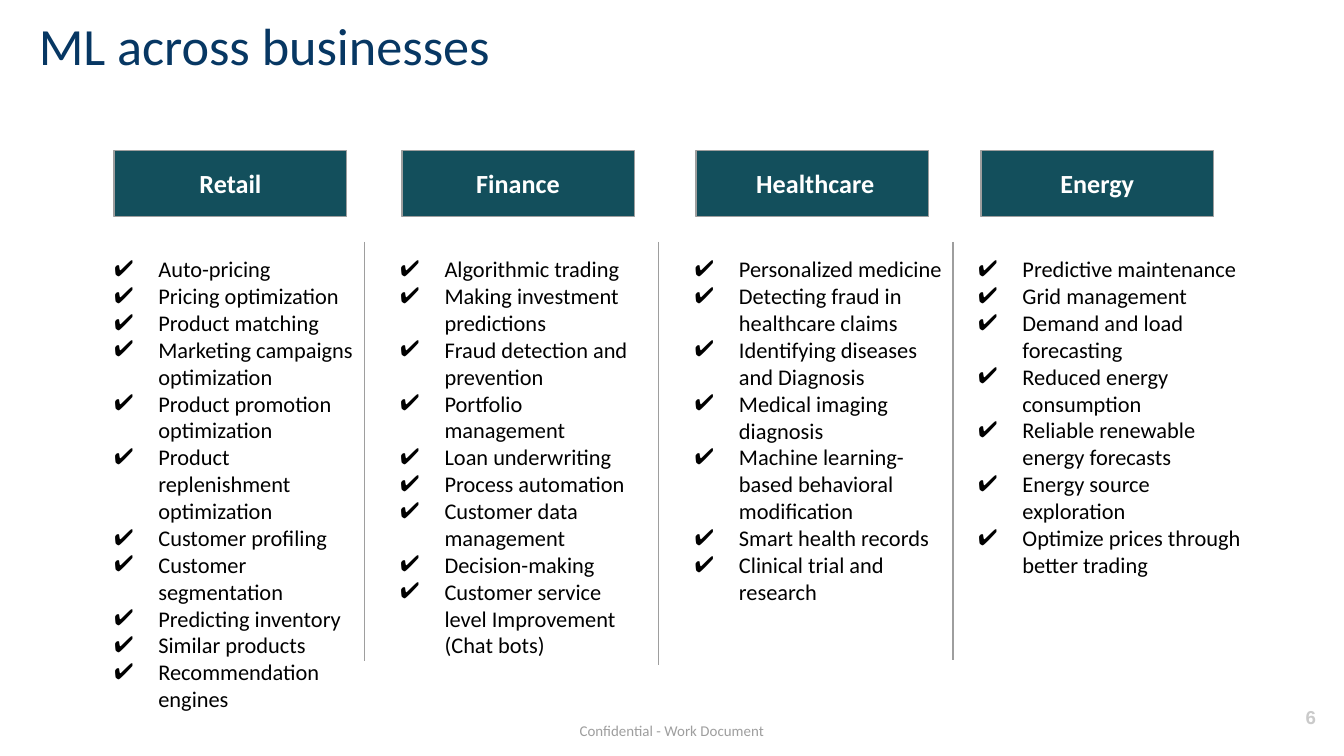
from dataclasses import dataclass

from lxml.etree import SubElement
from pptx import Presentation
from pptx.dml.color import RGBColor
from pptx.enum.shapes import MSO_CONNECTOR, MSO_SHAPE
from pptx.enum.text import MSO_ANCHOR, PP_ALIGN
from pptx.oxml.ns import qn
from pptx.util import Inches, Pt

COLORS = {
    "title": "073763",
    "header": "134F5C",
    "rule": "9E9E9E",
    "number": "CACACA",
    "body": "000000",
    "white": "FFFFFF",
}
HEADER_TOP, HEADER_W, HEADER_H = 1.12, 1.73, 0.49
LIST_TOP = 1.8
INDENT, HANGING = 0.5, 0.33


@dataclass
class Column:
    name: str
    header_left: float
    list_left: float
    list_width: float
    list_height: float
    items: list[str]


@dataclass
class Divider:
    x: float
    bottom: float


COLUMNS = [
    Column("Retail", 0.85, 0.58, 2.18, 3.7, [
        "Auto-pricing",
        "Pricing optimization",
        "Product matching",
        "Marketing campaigns optimization",
        "Product promotion optimization",
        "Product replenishment optimization",
        "Customer profiling",
        "Customer segmentation",
        "Predicting inventory",
        "Similar products",
        "Recommendation engines",
    ]),
    Column("Finance", 2.99, 2.71, 2.17, 3.27, [
        "Algorithmic trading",
        "Making investment predictions",
        "Fraud detection and prevention",
        "Portfolio management",
        "Loan underwriting",
        "Process automation",
        "Customer data management",
        "Decision-making",
        "Customer service level Improvement (Chat bots)",
    ]),
    Column(" Healthcare", 5.18, 4.9, 2.28, 3.05, [
        "Personalized medicine",
        "Detecting fraud in healthcare claims",
        "Identifying diseases and Diagnosis",
        "Medical imaging diagnosis",
        "Machine learning-based behavioral modification",
        "Smart health records",
        "Clinical trial and research",
    ]),
    Column("Energy", 7.3, 7.01, 2.33, 2.64, [
        "Predictive maintenance",
        "Grid management",
        "Demand and load forecasting",
        "Reduced energy consumption",
        "Reliable renewable energy forecasts",
        "Energy source exploration",
        "Optimize prices through better trading",
    ]),
]
DIVIDERS = [Divider(2.71, 4.92), Divider(4.9, 4.95), Divider(7.09, 4.91)]


def rgb(name: str) -> RGBColor:
    return RGBColor.from_string(COLORS[name])


def add_check(p, size: float, font: str) -> None:
    """Give a paragraph a hanging check-mark bullet."""
    pPr = p._p.get_or_add_pPr()
    pPr.set("marL", str(Inches(INDENT)))
    pPr.set("indent", str(-Inches(HANGING)))
    color = SubElement(pPr, qn("a:buClr"))
    SubElement(color, qn("a:srgbClr"), val=COLORS["body"])
    SubElement(pPr, qn("a:buSzPts"), val=str(Pt(size).centipoints))
    SubElement(pPr, qn("a:buFont"), typeface=font)
    SubElement(pPr, qn("a:buChar"), char="✔")


def write(tf, lines: list[str], *, size: float, color: str, font: str = "Calibri",
          bold: bool = False, align=PP_ALIGN.LEFT, anchor=MSO_ANCHOR.TOP,
          checks: bool = False) -> None:
    """Fill a text frame, one paragraph per line."""
    tf.word_wrap = True
    tf.vertical_anchor = anchor
    tf.margin_left = tf.margin_right = tf.margin_top = tf.margin_bottom = Inches(0.1)
    for i, line in enumerate(lines):
        p = tf.add_paragraph() if i else tf.paragraphs[0]
        p.alignment = align
        if checks:
            add_check(p, size, font)
        r = p.add_run()
        r.text = line
        r.font.name, r.font.size, r.font.bold = font, Pt(size), bold
        r.font.color.rgb = rgb(color)


def add_text(s, left: float, top: float, width: float, height: float,
             lines: list[str], **fmt) -> None:
    box = s.shapes.add_textbox(Inches(left), Inches(top), Inches(width), Inches(height))
    write(box.text_frame, lines, **fmt)


def add_column(s, col: Column) -> None:
    add_text(s, col.list_left, LIST_TOP, col.list_width, col.list_height,
             col.items, size=12, color="body", checks=True)
    sp = s.shapes.add_shape(MSO_SHAPE.RECTANGLE, Inches(col.header_left),
                            Inches(HEADER_TOP), Inches(HEADER_W), Inches(HEADER_H))
    sp.shadow.inherit = False
    sp.fill.solid()
    sp.fill.fore_color.rgb = rgb("header")
    sp.line.color.rgb = rgb("rule")
    sp.line.width = Pt(0.75)
    write(sp.text_frame, [col.name], size=14, color="white", bold=True,
          align=PP_ALIGN.CENTER, anchor=MSO_ANCHOR.MIDDLE)


def add_divider(s, div: Divider) -> None:
    line = s.shapes.add_connector(MSO_CONNECTOR.STRAIGHT, Inches(div.x), Inches(LIST_TOP),
                                  Inches(div.x), Inches(div.bottom))
    line.line.color.rgb = rgb("rule")
    line.line.width = Pt(0.75)
    SubElement(line._element.spPr, qn("a:effectLst"))


def main() -> None:
    # Widescreen 16:9
    prs = Presentation()
    prs.slide_width = Inches(10)
    prs.slide_height = prs.slide_width * 9 // 16
    s = prs.slides.add_slide(prs.slide_layouts[6])

    # Title
    add_text(s, 0.19, 0, 6.99, 0.67, ["ML across businesses"], size=28, color="title")

    # Business columns and the rules between them
    for col in COLUMNS:
        add_column(s, col)
    for div in DIVIDERS:
        add_divider(s, div)

    # Footer and page number
    add_text(s, 4.02, 5.3, 1.96, 0.34, ["Confidential - Work Document"],
             size=8, color="rule", align=PP_ALIGN.CENTER)
    add_text(s, 9.29, 5.12, 0.6, 0.43, ["6"], size=10, color="number", font="Arial",
             bold=True, align=PP_ALIGN.RIGHT, anchor=MSO_ANCHOR.MIDDLE)

    prs.save("out.pptx")


if __name__ == "__main__":
    main()
